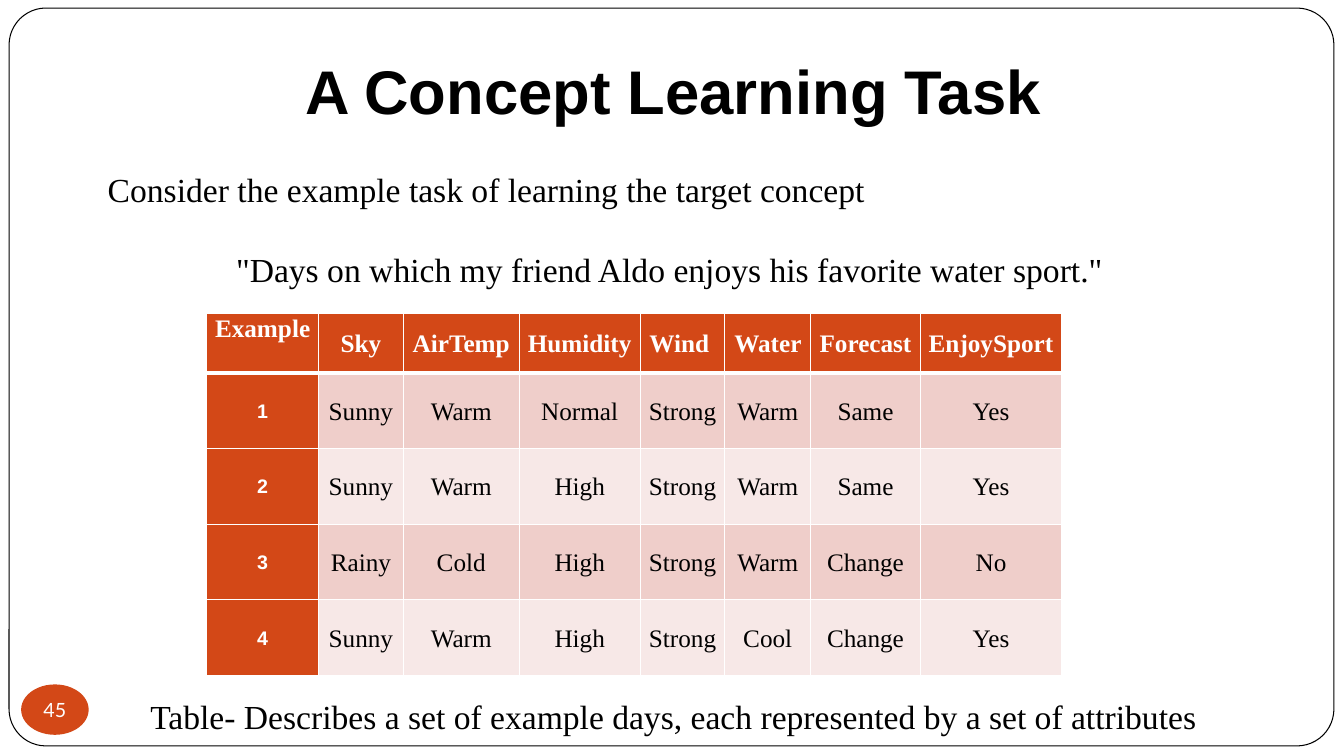
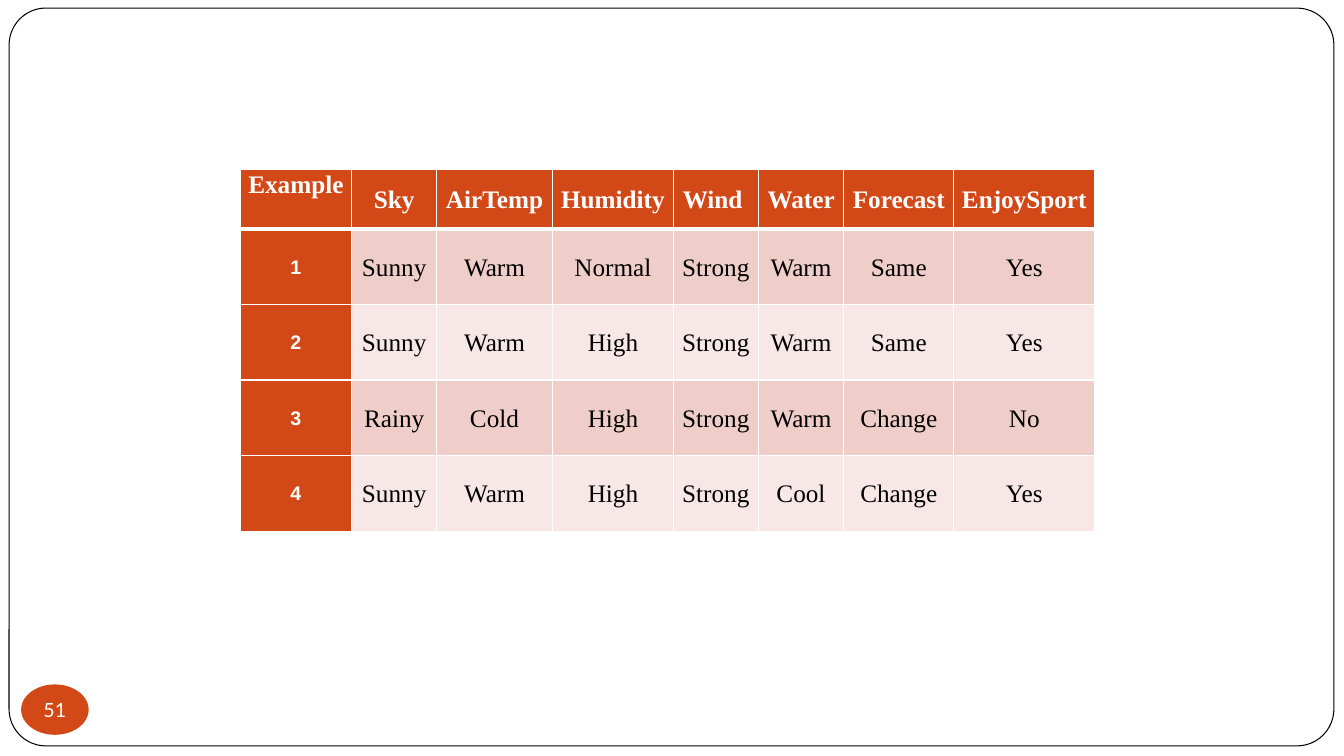
from lxml import etree
from pptx import Presentation
from pptx.dml.color import RGBColor
from pptx.enum import shapes, text
from pptx.oxml.ns import qn
from pptx.util import Inches, Pt

COLORS = {
    "accent": "D34817",
    "band_dark": "EFCECA",
    "band_light": "F7E8E7",
    "white": "FFFFFF",
    "black": "000000",
}
HEADING_FONT, BODY_FONT, NUMBER_FONT = "Arial", "Times New Roman", "Lato"
CENTER, JUSTIFY = text.PP_ALIGN.CENTER, text.PP_ALIGN.JUSTIFY

TITLE = "A Concept Learning Task"
STATEMENTS = [
    ("Consider the example task of learning the target concept ", JUSTIFY, 29),
    ('"Days on which my friend Aldo enjoys his favorite water sport." ', CENTER, 29),
    ("Table- Describes a set of example days, each represented by a set of attributes", CENTER, 290),
]
EXAMPLES = [
    ("Example", "Sky", "AirTemp ", "Humidity ", "Wind ", "Water ", "Forecast ", "EnjoySport"),
    ("1", "Sunny", "Warm", "Normal", "Strong", "Warm", "Same", "Yes"),
    ("2", "Sunny", "Warm", "High", "Strong", "Warm", "Same", "Yes"),
    ("3", "Rainy", "Cold", "High", "Strong", "Warm", "Change", "No"),
    ("4", "Sunny", "Warm", "High", "Strong", "Cool", "Change", "Yes"),
]
COLUMN_WIDTHS = [1.11, 0.84, 1.15, 1.2, 0.84, 0.85, 1.09, 1.4]
ROW_HEIGHTS = [0.59] + [0.75] * 4
SLIDES = [
    {"number": "45", "statements": STATEMENTS, "table_at": (2.05, 3.11)},
    {"number": "51", "statements": [], "table_at": (2.38, 1.68)},
]


def rgb(name):
    return RGBColor.from_string(COLORS[name])


def add_run(paragraph, words, size, font, color, bold=False):
    run = paragraph.add_run()
    run.text = words
    run.font.size = Pt(size)
    run.font.name = font
    run.font.bold = bold
    run.font.color.rgb = rgb(color)


def add_panel(slide, preset, box, fill, outline=None):
    panel = slide.shapes.add_shape(preset, *map(Inches, box))
    panel.shadow.inherit = False
    panel.fill.solid()
    panel.fill.fore_color.rgb = rgb(fill)
    if outline:
        panel.line.color.rgb = rgb(outline)
        panel.line.width = Pt(0.75)
    else:
        panel.line.fill.background()
    return panel


def add_frame(slide):
    frame = add_panel(slide, shapes.MSO_SHAPE.ROUNDED_RECTANGLE,
                      (0.09, 0.08, 13.14, 7.32), "white", "black")
    frame.adjustments[0] = 0.05


def add_page_number(slide, number):
    badge = add_panel(slide, shapes.MSO_SHAPE.OVAL, (0.21, 6.79, 0.67, 0.5), "accent")
    body = badge.text_frame
    body.margin_left = body.margin_right = body.margin_top = body.margin_bottom = 0
    body.vertical_anchor = text.MSO_ANCHOR.MIDDLE
    paragraph = body.paragraphs[0]
    paragraph.alignment = CENTER
    add_run(paragraph, number, 14, NUMBER_FONT, "white")


def add_statements(slide, statements):
    body = slide.shapes.add_textbox(*map(Inches, (0.97, 0.56, 11.42, 6.83))).text_frame
    body.word_wrap = True
    heading = body.paragraphs[0]
    heading.alignment = CENTER
    heading.line_spacing = 0.9
    add_run(heading, TITLE, 44, HEADING_FONT, "black", True)
    for words, alignment, gap in statements:
        paragraph = body.add_paragraph()
        paragraph.alignment = alignment
        paragraph.space_before = Pt(gap)
        add_run(paragraph, words, 24, BODY_FONT, "black")


def set_borders(cell, is_header):
    properties = cell._tc.get_or_add_tcPr()
    for side in "LRTB":
        width = 3 if is_header and side == "B" else 1
        line = etree.SubElement(properties, qn(f"a:ln{side}"), w=str(Pt(width)))
        fill = etree.SubElement(line, qn("a:solidFill"))
        etree.SubElement(fill, qn("a:srgbClr"), val=COLORS["white"])


def fill_cell(cell, words, row, column):
    is_header, is_label = row == 0, column == 0
    set_borders(cell, is_header)
    cell.fill.solid()
    band = "band_dark" if row % 2 else "band_light"
    cell.fill.fore_color.rgb = rgb("accent" if is_header or is_label else band)
    cell.margin_left = cell.margin_right = Inches(0.07)
    cell.margin_top = cell.margin_bottom = 0
    at_top = is_header and is_label
    cell.vertical_anchor = text.MSO_ANCHOR.TOP if at_top else text.MSO_ANCHOR.MIDDLE
    paragraph = cell.text_frame.paragraphs[0]
    paragraph.alignment = CENTER
    paragraph.line_spacing = 1.07
    if is_header:
        add_run(paragraph, words, 18, BODY_FONT, "white", True)
    elif is_label:
        add_run(paragraph, words, 14, HEADING_FONT, "white", True)
    else:
        add_run(paragraph, words, 18, BODY_FONT, "black")


def add_examples(slide, left, top):
    box = (left, top, sum(COLUMN_WIDTHS), sum(ROW_HEIGHTS))
    examples = slide.shapes.add_table(
        len(EXAMPLES), len(COLUMN_WIDTHS), *map(Inches, box)).table
    for column, width in zip(examples.columns, COLUMN_WIDTHS):
        column.width = Inches(width)
    for row, height in zip(examples.rows, ROW_HEIGHTS):
        row.height = Inches(height)
    for r, values in enumerate(EXAMPLES):
        for c, words in enumerate(values):
            fill_cell(examples.cell(r, c), words, r, c)


def main():
    deck = Presentation()
    deck.slide_width, deck.slide_height = Inches(13.33), Inches(7.5)
    for content in SLIDES:
        slide = deck.slides.add_slide(deck.slide_layouts[6])
        add_frame(slide)
        if content["statements"]:
            add_statements(slide, content["statements"])
        add_examples(slide, *content["table_at"])
        add_page_number(slide, content["number"])
    deck.save("out.pptx")


if __name__ == "__main__":
    main()
